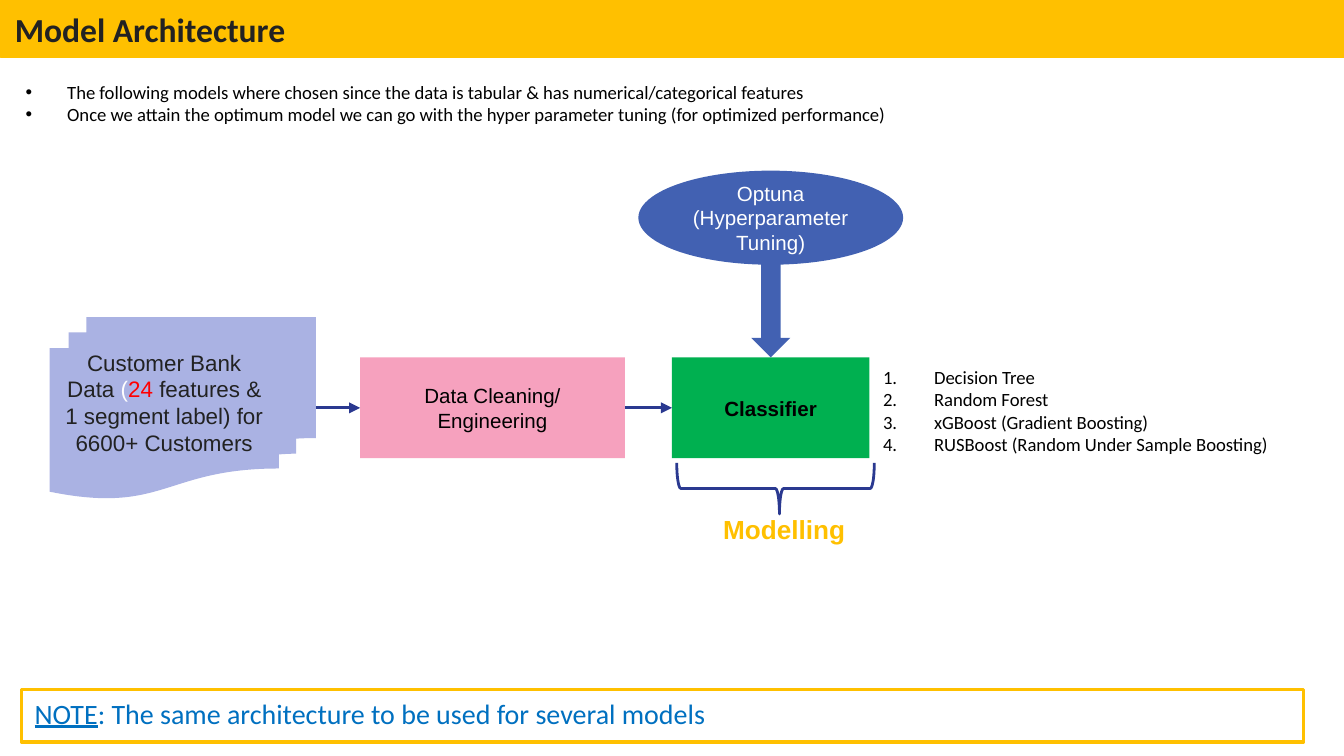
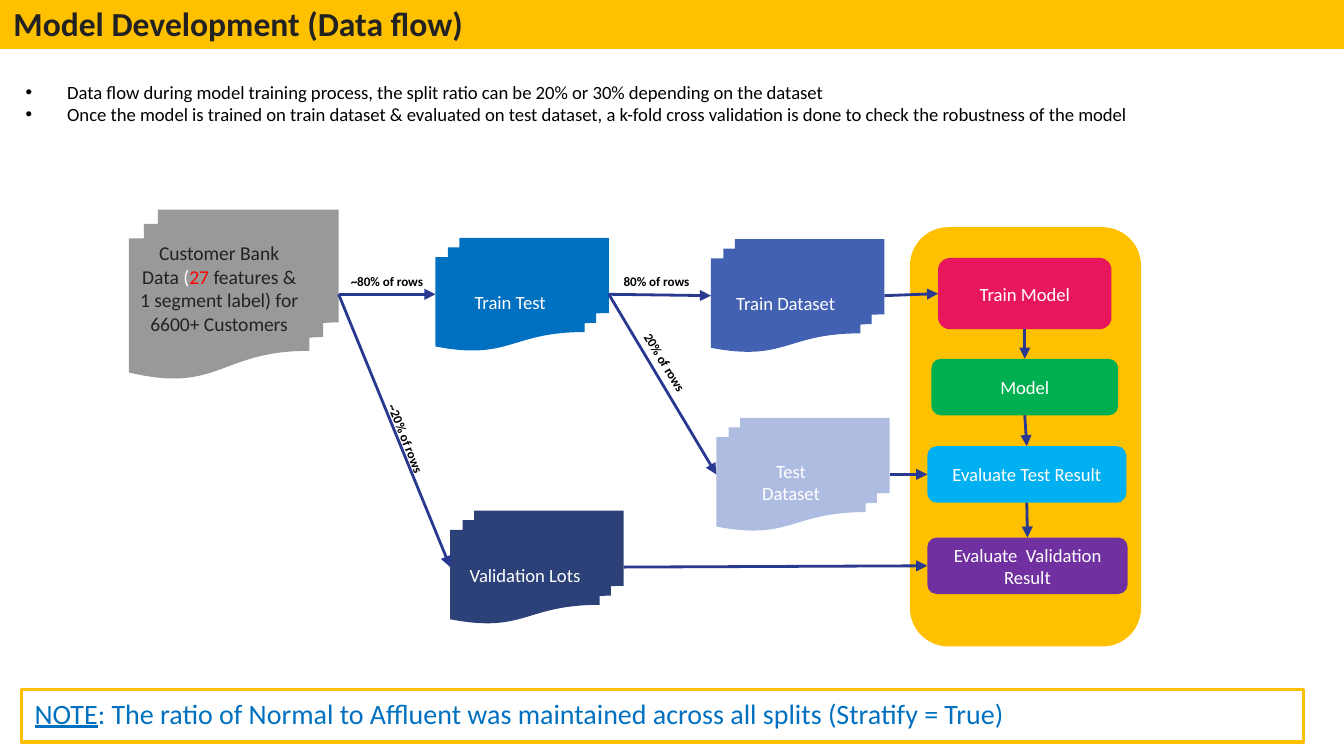
from pptx import Presentation
from pptx import util as u
from pptx.dml.color import RGBColor
from pptx.enum import shapes, text
from pptx.oxml import ns
from lxml import etree

PX = 9144  # one px is a hundredth of an inch

GOLD = RGBColor(0xFF, 0xC0, 0x00)
WHITE = RGBColor(0xFF, 0xFF, 0xFF)
BLACK = RGBColor(0x00, 0x00, 0x00)
DARK = RGBColor(0x22, 0x22, 0x22)
RED = RGBColor(0xFF, 0x00, 0x00)
NAVY = RGBColor(0x2A, 0x39, 0x90)
BLUE = RGBColor(0x00, 0x70, 0xC0)
STEEL = RGBColor(0x42, 0x61, 0xB2)
GREEN = RGBColor(0x00, 0xB0, 0x50)
PINK = RGBColor(0xF6, 0xA1, 0xBE)
LILAC = RGBColor(0xAA, 0xB2, 0xE3)
GREY = RGBColor(0x99, 0x99, 0x99)
DEEP = RGBColor(0x2C, 0x41, 0x77)
PALE = RGBColor(0xAE, 0xBC, 0xE1)
ROSE = RGBColor(0xE7, 0x16, 0x5D)
SKY = RGBColor(0x00, 0xB0, 0xF0)
PLUM = RGBColor(0x70, 0x30, 0xA0)

KIND = shapes.MSO_SHAPE
DOCS = KIND.FLOWCHART_MULTIDOCUMENT
STEP = KIND.FLOWCHART_ALTERNATE_PROCESS
LEFT, MID = text.PP_ALIGN.LEFT, text.PP_ALIGN.CENTER
TOP, RIGHT, LOW, WEST = 0, 3, 2, 1  # connection sites


def write(shape, paras, size, ink, font="Calibri", bold=False, align=LEFT,
          anchor=text.MSO_ANCHOR.MIDDLE, inset=None, wrap=True):
    """Fill a text frame; a paragraph is a list of (words, colour) runs."""
    frame = shape.text_frame
    frame.word_wrap = wrap
    frame.auto_size = text.MSO_AUTO_SIZE.NONE
    frame.vertical_anchor = anchor
    if inset is not None:
        frame.margin_left = frame.margin_right = inset * PX
        frame.margin_top = frame.margin_bottom = inset * PX
    for i, para in enumerate(paras):
        p = frame.add_paragraph() if i else frame.paragraphs[0]
        p.alignment = align
        p.space_before = u.Pt(0)
        for words, tint in [(para, ink)] if isinstance(para, str) else para:
            run = p.add_run()
            run.text = words
            run.font.name, run.font.size = font, u.Pt(size)
            run.font.bold = bold
            run.font.color.rgb = tint


def draw(slide, kind, box, fill=None, edge=None, width=2):
    """Add a flat preset shape."""
    shape = slide.shapes.add_shape(kind, *[n * PX for n in box])
    shape.shadow.inherit = False
    if fill is None:
        shape.fill.background()
    else:
        shape.fill.solid()
        shape.fill.fore_color.rgb = fill
    if edge is None:
        shape.line.fill.background()
    else:
        shape.line.color.rgb = edge
        shape.line.width = u.Pt(width)
    return shape


deck = Presentation()
deck.slide_width = 1000 * PX
deck.slide_height = deck.slide_width * 9 // 16
arch = deck.slides.add_slide(deck.slide_layouts[3])
flow = deck.slides.add_slide(deck.slide_layouts[1])

# Shared parts: title band, bullet list, note
pages = [
    (arch, "Model Architecture", (1, 1, 999, 41), 667,
     ["The following models where chosen since the data is tabular & has numerical/categorical features",
      "Once we attain the optimum model we can go with the hyper parameter tuning (for optimized performance)"],
     ": The same architecture to be used for several models"),
    (flow, "Model Development (Data flow)", (0, 0, 1000, 35), 853,
     ["Data flow during model training process, the split ratio can be 20% or 30% depending on the dataset",
      "Once the model is trained on train dataset & evaluated on test dataset, a k-fold cross validation "
      "is done to check the robustness of the model"],
     ": The ratio of Normal to Affluent was maintained across all splits (Stratify = True)"),
]
lists = []
for slide, head, band, wide, points, note in pages:
    title = slide.shapes.title
    title.left, title.top, title.width, title.height = [n * PX for n in band]
    title.fill.solid()
    title.fill.fore_color.rgb = GOLD
    title.line.color.rgb = GOLD
    title.line.width = u.Pt(2)
    write(title, [head], 18, DARK, bold=True)
    lists.append((slide.placeholders[1], (9, 55, wide, 61), points, 31,
                  "buChar", {"char": "•"}))
    foot = draw(slide, KIND.RECTANGLE, (16, 513, 954, 39), WHITE, GOLD)
    write(foot, [[("NOTE", BLUE), (note, BLUE)]], 15, BLUE,
          anchor=text.MSO_ANCHOR.TOP)
    foot.text_frame.paragraphs[0].runs[0].font.underline = True

# Numbered models, beside the classifier
models = ["Decision Tree", "Random Forest", "xGBoost (Gradient Boosting)",
          "RUSBoost (Random Under Sample Boosting)"]
lists.append((arch.placeholders[2], (647, 267, 309, 77), models, 38,
              "buAutoNum", {"type": "arabicPeriod"}))

for body, box, points, hang, mark, attrs in lists:
    body.left, body.top, body.width, body.height = [n * PX for n in box]
    write(body, points, 10, BLACK, anchor=text.MSO_ANCHOR.TOP, wrap=False)
    for p in body.text_frame.paragraphs:
        props = p._p.get_or_add_pPr()
        props.set("marL", str(hang * PX))
        props.set("indent", str(-hang * PX))
        tint = etree.SubElement(props, ns.qn("a:buClr"))
        etree.SubElement(tint, ns.qn("a:srgbClr"), val=str(BLACK))
        etree.SubElement(props, ns.qn("a:buFont"), typeface="Arial")
        etree.SubElement(props, ns.qn(f"a:{mark}"), attrs)

# Customer data, on both slides
data = []
for slide, box, fill, count, size, font in [
        (arch, (37, 236, 198, 135), LILAC, "24 ", 12, "Arial"),
        (flow, (96, 156, 156, 126), GREY, "27 ", 10.5, "Calibri")]:
    docs = draw(slide, DOCS, box, fill)
    write(docs, [[("Customer Bank Data ", DARK), ("(", WHITE), (count, RED),
                  ("features & 1 segment label) for 6600+ Customers", DARK)]],
          size, DARK, font, align=MID, inset=8)
    docs.text_frame.margin_bottom = 34 * PX
    data.append(docs)
bank, source = data

# Architecture: steps, tuning and brace
clean = draw(arch, KIND.RECTANGLE, (268, 266, 197, 75), PINK)
write(clean, ["Data Cleaning/ Engineering"], 11, BLACK, "Arial", align=MID, inset=8)
sort = draw(arch, KIND.RECTANGLE, (500, 266, 147, 75), GREEN)
write(sort, ["Classifier"], 11, BLACK, "Arial", True, MID, inset=8)
draw(arch, KIND.DOWN_ARROW, (559, 196, 29, 70), STEEL)
tune = draw(arch, KIND.OVAL, (475, 127, 197, 70), STEEL)
write(tune, ["Optuna (Hyperparameter Tuning)"], 11, WHITE, "Arial", align=MID, inset=8)
brace = draw(arch, KIND.RIGHT_BRACE, (558, 290, 38, 147), None, NAVY, 1.5)
brace.rotation = 90
brace.adjustments[0], brace.adjustments[1] = 0.08, 0.48

# Data flow: panel, data sets and steps
draw(flow, KIND.ROUNDED_RECTANGLE, (677, 169, 172, 312), GOLD)
nodes = {}
for name, kind, box, fill, words in [
        ("split", DOCS, (324, 177, 129, 84), BLUE, ["Train Test"]),
        ("lots", DOCS, (335, 380, 129, 84), DEEP, ["Validation Lots"]),
        ("train", DOCS, (529, 178, 129, 84), STEEL, ["Train Dataset"]),
        ("test", DOCS, (533, 311, 129, 84), PALE, ["Test", "Dataset"]),
        ("fit", STEP, (698, 192, 129, 53), ROSE, ["Train Model"]),
        ("model", KIND.ROUNDED_RECTANGLE, (693, 267, 139, 42), GREEN, ["Model"]),
        ("check", STEP, (690, 332, 148, 42), SKY, ["Evaluate Test Result"]),
        ("prove", STEP, (690, 400, 149, 42), PLUM, ["Evaluate  Validation Result"])]:
    nodes[name] = draw(flow, kind, box, fill)
    write(nodes[name], words, 10, WHITE, align=MID, inset=8)

# Free labels
for slide, words, box, turn, size, ink, font, wrap in [
        (arch, "Modelling", (538, 382, 91, 24), 0, 14, GOLD, "Arial", False),
        (flow, "~20% of rows", (272, 322, 64, 18), 68.2, 7, BLACK, "Calibri", True),
        (flow, "~80% of rows", (261, 200, 71, 18), 0, 7, BLACK, "Calibri", True),
        (flow, "80% of rows", (464, 202, 59, 15), 0, 7, BLACK, "Calibri", True),
        (flow, "20% of rows", (466, 271, 67, 13), 58.5, 7, BLACK, "Calibri", True)]:
    label = slide.shapes.add_textbox(*[n * PX for n in box])
    label.rotation = turn
    write(label, [words], size, ink, font, True, inset=0, wrap=wrap)

# Arrows, glued to the shapes they join
n = nodes
across = [(arch, bank, clean), (arch, clean, sort),
          (flow, source, n["split"]), (flow, source, n["lots"]),
          (flow, n["split"], n["train"]), (flow, n["split"], n["test"]),
          (flow, n["train"], n["fit"]), (flow, n["test"], n["check"]),
          (flow, n["lots"], n["prove"])]
down = [(flow, n["fit"], n["model"]), (flow, n["model"], n["check"]),
        (flow, n["check"], n["prove"])]
for links, out, into in [(across, RIGHT, WEST), (down, LOW, TOP)]:
    for slide, start, end in links:
        arrow = slide.shapes.add_connector(shapes.MSO_CONNECTOR.STRAIGHT, 0, 0, 0, 0)
        arrow.begin_connect(start, out)
        arrow.end_connect(end, into)
        arrow.line.color.rgb = NAVY
        arrow.line.width = u.Pt(1.5)
        etree.SubElement(arrow.line._get_or_add_ln(), ns.qn("a:tailEnd"), type="triangle")
        etree.SubElement(arrow._element.spPr, ns.qn("a:effectLst"))

deck.save("out.pptx")
